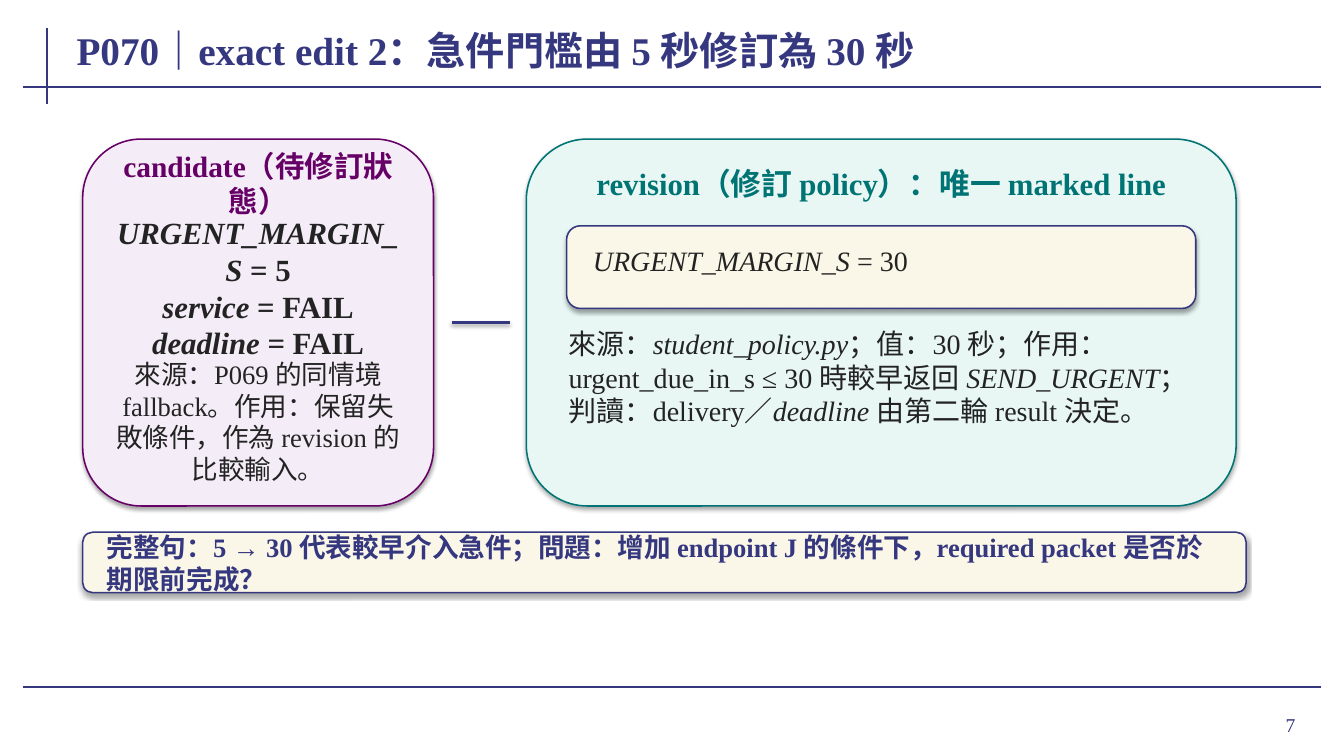
"""Build the slide comparing the candidate and revised urgent margin."""
from lxml.etree import SubElement
from pptx import Presentation
from pptx.dml.color import RGBColor
from pptx.enum.shapes import MSO_CONNECTOR as CONN, MSO_SHAPE as SHAPE
from pptx.enum.text import MSO_ANCHOR as ANCHOR, MSO_AUTO_SIZE as FIT, PP_ALIGN as ALIGN
from pptx.oxml.ns import qn
from pptx.util import Inches, Pt

NAVY = RGBColor(0x35, 0x37, 0x7F)
PURPLE = RGBColor(0x66, 0x00, 0x66)
TEAL = RGBColor(0x00, 0x74, 0x74)
INK = RGBColor(0x23, 0x23, 0x23)
LILAC = RGBColor(0xF4, 0xED, 0xF7)
MINT = RGBColor(0xE8, 0xF7, 0xF4)
CREAM = RGBColor(0xFA, 0xF7, 0xE8)
FONT = "Times New Roman"

RULES = [(0.47, 0.28, 0.47, 1.03), (0.23, 0.86, 13.1, 0.86), (0.23, 6.82, 13.1, 6.82)]
LINK = (4.48, 3.2, 5.06, 3.2)
CARDS = [
    ((0.82, 1.38, 3.48, 3.64), LILAC, PURPLE),
    ((5.22, 1.38, 7.04, 3.64), MINT, TEAL),
    ((5.62, 2.24, 6.24, 0.82), CREAM, NAVY),
    ((0.82, 5.28, 11.54, 0.6), CREAM, NAVY),
]
TITLE = ((0.68, 0.18, 11.95, 0.62), ["P070｜exact edit 2：急件門檻由 5 秒修訂為 30 秒"],
         dict(size=28, color=NAVY, bold=True, fit=FIT.NONE))
PAGE = ((11.96, 6.93, 0.97, 0.52), ["7"],
        dict(size=14, color=NAVY, align=ALIGN.RIGHT, fit=FIT.NONE))
TEXTS = [
    TITLE,
    PAGE,
    ((1.04, 1.62, 3.04, 0.4), ["candidate（待修訂狀態）"],
     dict(size=21, color=PURPLE, bold=True, align=ALIGN.CENTER)),
    ((1.08, 2.28, 2.96, 1.14),
     ["*URGENT_MARGIN_S* = 5", "*service* = FAIL", "*deadline* = FAIL"],
     dict(size=22, bold=True, align=ALIGN.CENTER)),
    ((1.06, 3.82, 3, 0.72),
     ["來源：P069 的同情境 fallback。作用：保留失敗條件，作為 revision 的比較輸入。"],
     dict(size=19, align=ALIGN.CENTER)),
    ((5.52, 1.62, 6.44, 0.4), ["revision（修訂 policy）：唯一 marked line"],
     dict(size=22, color=TEAL, bold=True, align=ALIGN.CENTER)),
    ((5.8, 2.38, 5.88, 0.54), ["*URGENT_MARGIN_S* = 30"],
     dict(size=20, anchor=ANCHOR.TOP)),
    ((5.56, 3.28, 6.34, 0.92),
     ["來源：*student_policy.py*；值：30 秒；作用：urgent_due_in_s ≤ 30 時較早返回 "
      "*SEND_URGENT*；判讀：delivery／*deadline* 由第二輪 result 決定。"],
     dict(size=20)),
    ((0.98, 5.34, 11.22, 0.48),
     ["完整句：5 → 30 代表較早介入急件；問題：增加 endpoint J 的條件下，"
      "required packet 是否於期限前完成？"],
     dict(size=19, color=NAVY, bold=True)),
]


def set_shadow(s, opacity=None, dist=1.8):
    """Replace the theme shadow with a soft downward one, or with none."""
    effects = SubElement(s._element.spPr, qn("a:effectLst"))
    if opacity:
        shadow = SubElement(effects, qn("a:outerShdw"), blurRad=str(Pt(3.1)),
                            dist=str(Pt(dist)), dir="5400000", rotWithShape="0")
        color = SubElement(shadow, qn("a:srgbClr"), val="000000")
        SubElement(color, qn("a:alpha"), val=str(opacity * 1000))


def add_line(slide, ends, width, **shadow):
    """Draw a navy straight line."""
    s = slide.shapes.add_connector(CONN.STRAIGHT, *map(Inches, ends))
    s.line.color.rgb, s.line.width = NAVY, Pt(width)
    set_shadow(s, **shadow)


def add_card(slide, box, fill, line):
    """Draw a rounded card with a soft shadow."""
    s = slide.shapes.add_shape(SHAPE.ROUNDED_RECTANGLE, *map(Inches, box))
    s.fill.solid()
    s.fill.fore_color.rgb = fill
    s.line.color.rgb, s.line.width = line, Pt(1.1)
    set_shadow(s, opacity=35)


def add_text(slide, box, lines, size, color=INK, bold=False, align=ALIGN.LEFT,
             anchor=ANCHOR.MIDDLE, fit=FIT.SHAPE_TO_FIT_TEXT):
    """Add a text box in which asterisks enclose italic words."""
    tf = slide.shapes.add_textbox(*map(Inches, box)).text_frame
    frame = dict(word_wrap=True, auto_size=fit, vertical_anchor=anchor,
                 margin_left=Inches(0.08), margin_right=Inches(0.08),
                 margin_top=Inches(0.04), margin_bottom=Inches(0.04))
    for name, value in frame.items():
        setattr(tf, name, value)
    for i, line in enumerate(lines):
        p = tf.add_paragraph() if i else tf.paragraphs[0]
        p.alignment = align
        for j, part in enumerate(line.split("*")):
            if part:
                r = p.add_run()
                r.text = part
                style = dict(name=FONT, size=Pt(size), bold=bold, italic=j % 2 == 1)
                for name, value in style.items():
                    setattr(r.font, name, value)
                r.font.color.rgb = color


def main():
    """Assemble and save the slide."""
    prs = Presentation()
    prs.slide_width, prs.slide_height = Inches(13.33), Inches(7.5)
    slide = prs.slides.add_slide(prs.slide_layouts[6])
    for ends in RULES:
        add_line(slide, ends, 1.5)
    add_line(slide, LINK, 2, opacity=38, dist=1.6)
    for card in CARDS:
        add_card(slide, *card)
    for box, lines, style in TEXTS:
        add_text(slide, box, lines, **style)
    prs.save("out.pptx")


if __name__ == "__main__":
    main()
